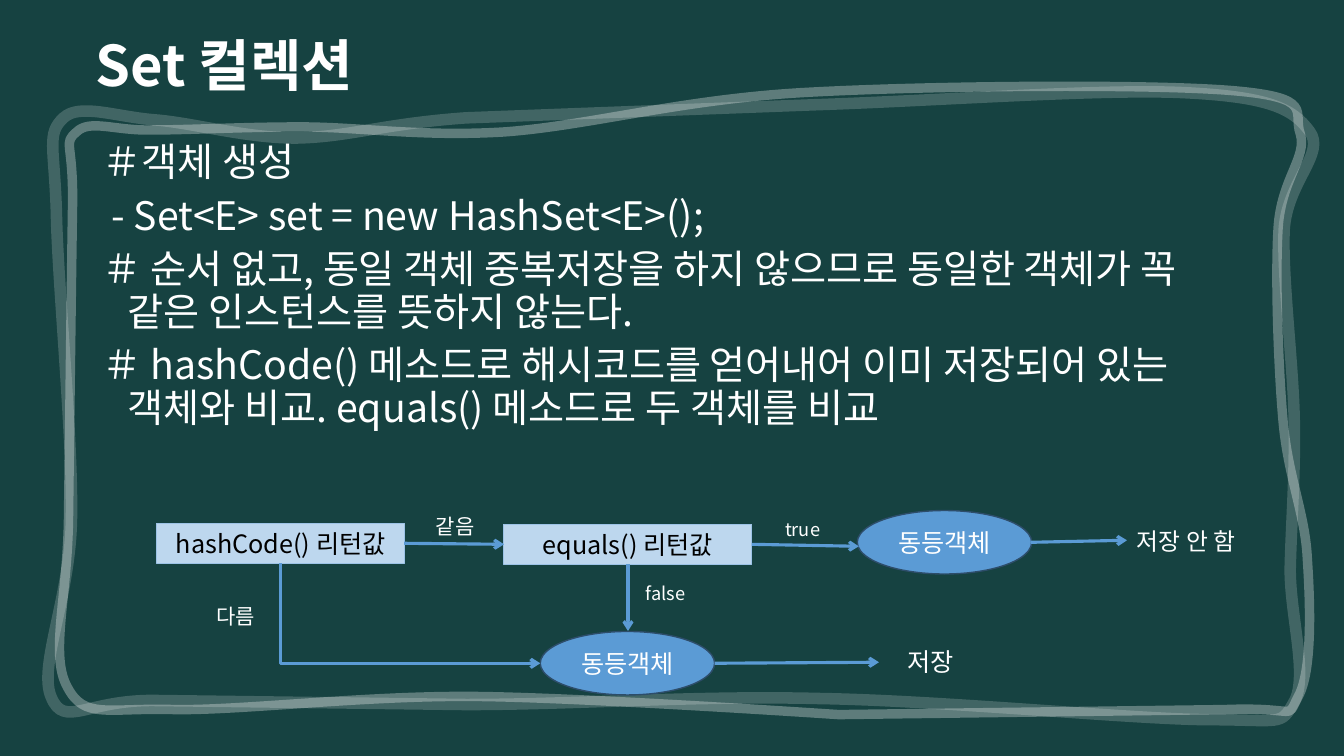
from dataclasses import dataclass

from lxml.etree import SubElement
from pptx import Presentation
from pptx.dml.color import RGBColor
from pptx.enum.shapes import MSO_CONNECTOR, MSO_SHAPE
from pptx.enum.text import MSO_ANCHOR, MSO_AUTO_SIZE, PP_ALIGN
from pptx.oxml.ns import qn
from pptx.util import Inches, Pt


@dataclass(frozen=True)
class Theme:
    font: str = "Noto Sans CJK KR"
    board: str = "164241"
    chalk: str = "FFFFFF"
    ink: str = "000000"
    box: str = "BDD7EE"
    box_edge: str = "9DC3E6"
    oval: str = "5B9BD5"
    oval_edge: str = "2D4D6A"
    title: int = 40
    body: int = 28
    node: int = 18
    result: int = 17
    korean_label: int = 15
    code_label: int = 13


def grid(*cells):
    """Lengths on a grid whose columns and rows are a tenth of an inch."""
    return [Inches(c / 10) for c in cells]


def write(sp, lines, *, size, color, font, bold=False, align=PP_ALIGN.LEFT,
          anchor=MSO_ANCHOR.MIDDLE, spacing=1.0, before=0, hanging=0, kern=None):
    """Fill sp with lines; a line is a string or a list of (string, size) runs."""
    tf = sp.text_frame
    tf.word_wrap = True
    tf.auto_size = MSO_AUTO_SIZE.NONE
    tf.vertical_anchor = anchor
    tf.margin_left = tf.margin_right = Inches(0.1)
    tf.margin_top = tf.margin_bottom = Inches(0.05)
    for i, line in enumerate(lines):
        p = tf.paragraphs[0] if i == 0 else tf.add_paragraph()
        p.alignment, p.line_spacing, p.space_before = align, spacing, Pt(before)
        if hanging:
            indent = Inches(hanging / 10)
            pPr = p._p.get_or_add_pPr()
            pPr.set("marL", str(indent))
            pPr.set("indent", str(-indent))
        for text, run_size in [(line, size)] if isinstance(line, str) else line:
            r = p.add_run()
            r.text = text
            r.font.name, r.font.size, r.font.bold = font, Pt(run_size), bold
            r.font.color.rgb = RGBColor.from_string(color)
            rPr = r._r.get_or_add_rPr()
            SubElement(rPr, qn("a:ea"), typeface=font)
            if kern is not None:
                rPr.set("kern", str(kern))


class Board:
    def __init__(self, prs, theme):
        self.theme = theme
        self.s = prs.slides.add_slide(prs.slide_layouts[5])
        fill = self.s.background.fill
        fill.solid()
        fill.fore_color.rgb = RGBColor.from_string(theme.board)

    def text(self, sp, lines, size, color=None, **fmt):
        write(sp, lines, size=size, color=color or self.theme.chalk,
              font=self.theme.font, **fmt)

    def title(self, at, text):
        sp = self.s.shapes.title
        sp.left, sp.top, sp.width, sp.height = grid(*at)
        self.text(sp, [text], self.theme.title, bold=True, spacing=1.5,
                  anchor=MSO_ANCHOR.TOP)

    def label(self, at, lines, size, **fmt):
        self.text(self.s.shapes.add_textbox(*grid(*at)), lines, size, **fmt)

    def node(self, kind, at, text, fill, edge, width, color):
        sp = self.s.shapes.add_shape(kind, *grid(*at))
        sp.shadow.inherit = False
        sp.fill.solid()
        sp.fill.fore_color.rgb = RGBColor.from_string(fill)
        sp.line.color.rgb = RGBColor.from_string(edge)
        sp.line.width = Pt(width)
        self.text(sp, [text], self.theme.node, color, align=PP_ALIGN.CENTER)

    def box(self, at, text):
        t = self.theme
        self.node(MSO_SHAPE.RECTANGLE, at, text, t.box, t.box_edge, 0.75, t.ink)

    def oval(self, at, text):
        t = self.theme
        self.node(MSO_SHAPE.OVAL, at, text, t.oval, t.oval_edge, 1, t.chalk)

    def chalk_frame(self, at, start, segments, width, opacity):
        """Closed outline: segments of two numbers are lines, of six are curves."""
        builder = self.s.shapes.build_freeform(*grid(*start))
        builder.add_line_segments([grid(*seg[-2:]) for seg in segments])
        sp = builder.convert_to_shape()
        sp.left, sp.top, sp.width, sp.height = grid(*at)
        outline = sp._element.spPr.find(".//" + qn("a:path"))
        outline.clear()
        outline.set("w", str(sp.width))
        outline.set("h", str(sp.height))
        for tag, seg in [("a:moveTo", start)] + [
                ("a:lnTo" if len(seg) == 2 else "a:cubicBezTo", seg)
                for seg in segments]:
            step = SubElement(outline, qn(tag))
            for x, y in zip(grid(*seg[::2]), grid(*seg[1::2])):
                SubElement(step, qn("a:pt"), x=str(x - sp.left), y=str(y - sp.top))
        SubElement(outline, qn("a:close"))
        sp.shadow.inherit = False
        sp.fill.background()
        sp.line.color.rgb = RGBColor.from_string(self.theme.chalk)
        sp.line.width = Pt(width)
        color = sp.line._ln.find(".//" + qn("a:srgbClr"))
        SubElement(color, qn("a:alpha"), val=str(opacity * 1000))

    def arrow(self, start, end, kind=MSO_CONNECTOR.STRAIGHT):
        cxn = self.s.shapes.add_connector(kind, *grid(*start, *end))
        cxn.line.color.rgb = RGBColor.from_string(self.theme.oval)
        cxn.line.width = Pt(2.25)
        SubElement(cxn.line._ln, qn("a:tailEnd"), type="arrow")
        SubElement(cxn._element.spPr, qn("a:effectLst"))
        return cxn

    def down_then_right(self, start, end):
        """One-bend arrow: a quarter-turned connector about the same centre."""
        (x1, y1), (x2, y2) = start, end
        cx, cy = (x1 + x2) / 2, (y1 + y2) / 2
        half_w, half_h = (y2 - y1) / 2, (x2 - x1) / 2
        cxn = self.arrow((cx - half_w, cy + half_h), (cx + half_w, cy - half_h),
                         MSO_CONNECTOR.ELBOW)
        spPr = cxn._element.spPr
        spPr.find(qn("a:xfrm")).set("rot", "5400000")
        spPr.find(qn("a:prstGeom")).set("prst", "bentConnector2")


INNER_FRAME = ((5.9, 8.6, 124, 62.3), (15.1, 12.9), [
    (11.4, 13, 8.9, 11.8, 7.6, 13.1), (6.2, 14.3, 7.3, 14, 7.2, 20.4),
    (7.1, 26.8, 6.9, 43.4, 6.8, 51.4), (6.7, 59.4, 4.9, 65, 6.7, 68.2),
    (8.4, 71.4, 10.6, 70.2, 17.3, 70.4), (24, 70.5, 36.1, 69, 47.1, 69.1),
    (58, 69.2, 83.2, 70.9, 83.2, 70.9), (121.5, 70.4),
    (129.1, 70.1, 127.5, 71.6, 128.8, 69.1), (130.2, 66.6, 130, 60, 129.7, 55.5),
    (129.5, 51, 127.8, 47.4, 127.3, 41.9), (126.8, 36.4, 126.5, 27.3, 126.8, 22.6),
    (127.1, 17.8, 129.7, 15.6, 129, 13.3), (128.2, 11.1, 130.6, 9.7, 122.3, 9),
    (114.1, 8.3, 91.5, 8.5, 79.5, 9.2), (67.4, 9.9, 58.3, 12.5, 50, 13.1),
    (41.7, 13.6, 35.7, 12.6, 29.9, 12.6), (24, 12.6, 18.8, 12.9, 15.1, 12.9)])
OUTER_FRAME = ((4.7, 9.1, 125.6, 62.4), (15.4, 11.9), [
    (11.5, 11.6, 7.9, 10.2, 6.3, 11.7), (4.6, 13.3, 5.4, 14.5, 5.6, 21.1),
    (5.7, 27.6, 7.2, 43, 7.1, 51), (7.1, 59.1, 3.7, 66.1, 5.1, 69.2),
    (6.4, 72.3, 8.6, 69.4, 15.4, 69.5), (46.2, 69.9),
    (57.2, 69.9, 69, 69, 81.2, 69.3), (93.4, 69.5, 111.7, 71.3, 119.6, 71.4),
    (127.4, 71.4, 127, 72.1, 128.4, 69.6), (129.8, 67.1, 128, 61.1, 128, 56.5),
    (128.1, 51.9, 128.5, 47.4, 128.4, 41.7), (128.3, 36.1, 127.2, 27.6, 127.4, 22.8),
    (127.7, 18, 131.6, 15.2, 129.9, 13), (128.2, 10.7, 125.7, 9.6, 117.5, 9.2),
    (109.3, 8.8, 93, 10, 80.8, 10.4), (46.2, 11.7),
    (37.9, 12.3, 34.6, 13.6, 29.4, 13.7), (24.3, 13.7, 19.2, 12.2, 15.4, 11.9)])
BODY = ["＃객체 생성",
        " - Set<E> set = new HashSet<E>();",
        "＃ 순서 없고, 동일 객체 중복저장을 하지 않으므로 동일한 객체가 꼭 "
        "같은 인스턴스를 뜻하지 않는다.",
        "＃ hashCode() 메소드로 해시코드를 얻어내어 이미 저장되어 있는 "
        "객체와 비교. equals() 메소드로 두 객체를 비교"]


def main():
    prs = Presentation()
    prs.slide_width, prs.slide_height = grid(133.33, 75)
    theme = Theme()
    board = Board(prs, theme)
    board.title((8.5, -0.8, 59.4, 11), "Set 컬렉션")
    board.chalk_frame(*INNER_FRAME, width=6.75, opacity=31)
    board.chalk_frame(*OUTER_FRAME, width=8.25, opacity=18)
    board.label((9.2, 13.7, 115, 33.4), BODY, theme.body, spacing=0.9,
                before=8, hanging=2.5, kern=0, anchor=MSO_ANCHOR.TOP)

    board.box((15.55, 51.9, 24.6, 4), "hashCode() 리턴값")
    board.box((50, 52, 24.6, 4), "equals() 리턴값")
    for at in ((85.05, 50.65, 17.3, 6.3), (53.6, 62.65, 17.3, 6.3)):
        board.oval(at, "동등객체")

    for start, end in (((74.6, 54), (85.2, 54.2)), ((40.1, 53.9), (50, 54)),
                       ((62.3, 56), (62.3, 62.6)), ((70.9, 65.8), (87.2, 65.7)),
                       ((102.3, 53.8), (111.8, 53.6))):
        board.arrow(start, end)
    board.down_then_right((27.8, 55.9), (53.6, 65.8))

    not_stored = [("저장", theme.result), (" ", theme.node), ("안 함", theme.result)]
    for at, line, size, align in (
            ((42.25, 50.4, 7.7, 3.5), "같음", theme.korean_label, PP_ALIGN.LEFT),
            ((76.9, 50.95, 5.5, 3.1), "true", theme.code_label, PP_ALIGN.LEFT),
            ((63.1, 57.3, 7.6, 3.1), "false", theme.code_label, PP_ALIGN.LEFT),
            ((19.8, 59.4, 7.1, 3.4), "다름", theme.korean_label, PP_ALIGN.CENTER),
            ((111.8, 51.6, 13.3, 4), not_stored, theme.result, PP_ALIGN.LEFT),
            ((87.2, 63.65, 10.2, 4), "저장", theme.node, PP_ALIGN.CENTER)):
        board.label(at, [line], size, align=align)
    prs.save("out.pptx")


if __name__ == "__main__":
    main()
